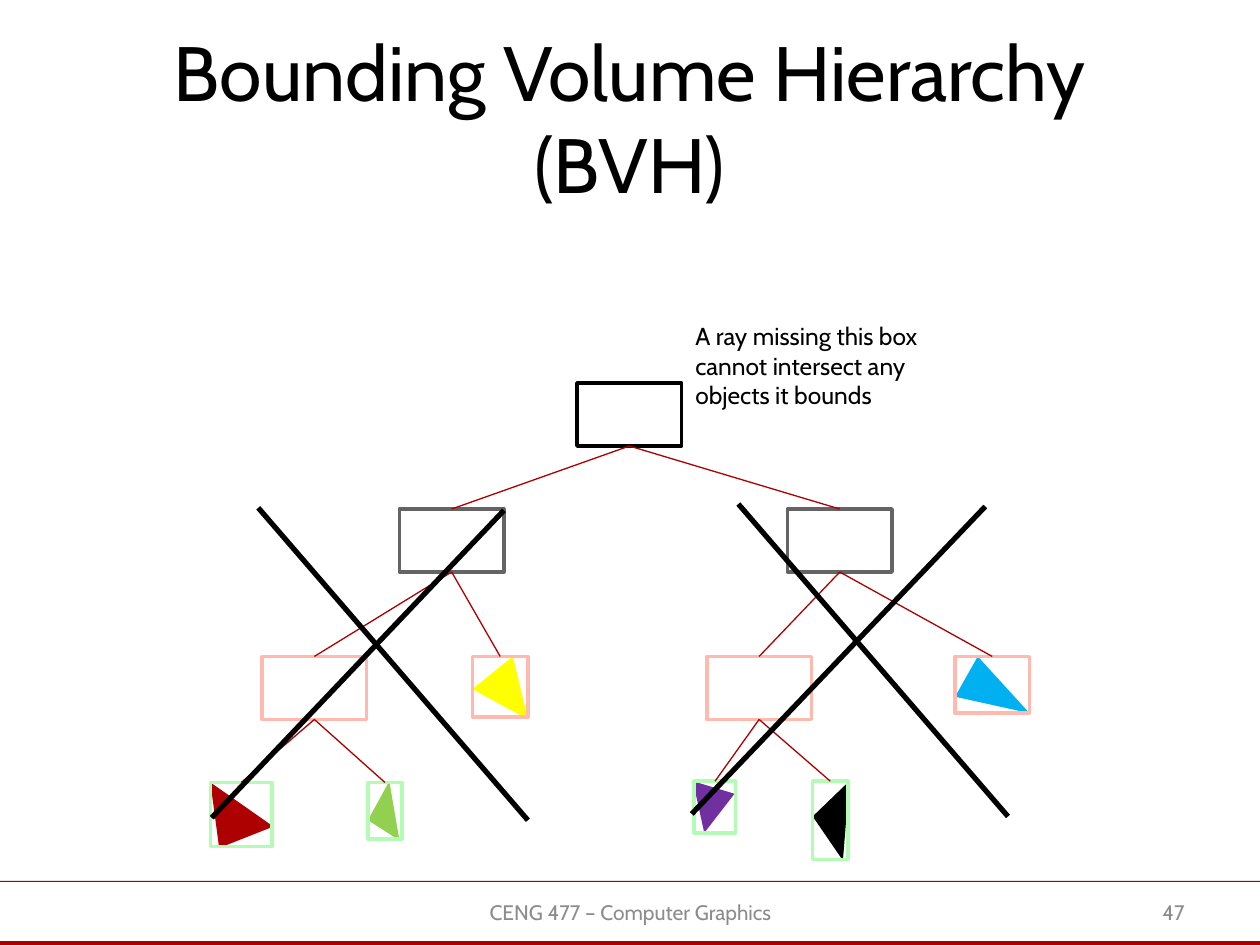
"""Build the slide on pruning a bounding volume hierarchy."""
from lxml.etree import SubElement
from pptx import Presentation
from pptx.dml.color import RGBColor
from pptx.enum.shapes import MSO_CONNECTOR, MSO_SHAPE
from pptx.enum.text import MSO_ANCHOR, PP_ALIGN
from pptx.oxml.ns import qn
from pptx.util import Inches, Pt

FONT = "Cabin"
BLACK = RGBColor(0x00, 0x00, 0x00)
GRAY = RGBColor(0x64, 0x64, 0x64)
FOOTER_GRAY = RGBColor(0x8C, 0x8C, 0x8C)
PINK = RGBColor(0xFF, 0xBA, 0xB0)
MINT = RGBColor(0xB4, 0xFC, 0xB6)
RED = RGBColor(0xAD, 0x01, 0x01)
EDGE_RED = RGBColor(0xAA, 0x00, 0x00)
YELLOW = RGBColor(0xFF, 0xFF, 0x00)
GREEN = RGBColor(0x92, 0xD0, 0x50)
PURPLE = RGBColor(0x70, 0x30, 0xA0)
BLUE = RGBColor(0x00, 0xB0, 0xF0)

TITLE = "Bounding Volume Hierarchy (BVH)"
NOTE = ["A ray missing this box", "cannot intersect any", "objects it bounds"]
FOOTER = "CENG 477 – Computer Graphics"
PAGE_NUMBER = "47"

RULES = [(6.99, 0.01), (7.47, 0.03)]
NODE_SIZE = (0.83, 0.5)
NODES = {
    "root": (4.58, 3.04, *NODE_SIZE, BLACK),
    "left": (3.17, 4.04, *NODE_SIZE, GRAY),
    "right": (6.25, 4.04, *NODE_SIZE, GRAY),
    "left inner": (2.08, 5.21, *NODE_SIZE, PINK),
    "right inner": (5.61, 5.21, *NODE_SIZE, PINK),
    "yellow": (3.75, 5.21, 0.44, 0.48, PINK),
    "blue": (7.58, 5.21, 0.59, 0.45, PINK),
    "red": (1.67, 6.21, 0.49, 0.51, MINT),
    "green": (2.92, 6.21, 0.27, 0.45, MINT),
    "purple": (5.51, 6.2, 0.33, 0.41, MINT),
    "black": (6.45, 6.2, 0.28, 0.62, MINT),
}
CHILDREN = {
    "root": ["left", "right"],
    "left": ["left inner", "yellow"],
    "right": ["right inner", "blue"],
    "left inner": ["red", "green"],
    "right inner": ["purple", "black"],
}
TRIANGLES = [
    (YELLOW, [(4.07, 5.21), (3.75, 5.47), (4.19, 5.71)]),
    (RED, [(1.74, 6.73), (1.67, 6.21), (2.17, 6.56)]),
    (GREEN, [(3.09, 6.2), (2.92, 6.51), (3.17, 6.67)]),
    (PURPLE, [(5.5, 6.2), (5.59, 6.61), (5.83, 6.3)]),
    (BLACK, [(6.74, 6.2), (6.45, 6.48), (6.69, 6.83)]),
    (BLUE, [(7.76, 5.21), (7.58, 5.53), (8.17, 5.66)]),
]
CROSS_STROKES = [
    ((2.05, 4.03), (4.19, 6.51)),
    ((4, 4.05), (1.68, 6.49)),
    ((5.86, 4), (8, 6.48)),
    ((7.82, 4.02), (5.49, 6.46)),
]


def write(box, lines, size, color, align, anchor, wrap=True):
    frame = box.text_frame
    frame.word_wrap = wrap
    frame.vertical_anchor = anchor
    for index, line in enumerate(lines):
        para = frame.add_paragraph() if index else frame.paragraphs[0]
        para.alignment = align
        span = para.add_run()
        span.text = line
        span.font.name = FONT
        span.font.size = Pt(size)
        span.font.color.rgb = color


def add_text(page, bounds, *style):
    write(page.shapes.add_textbox(*map(Inches, bounds)), *style)


def add_rectangle(page, bounds, fill=None, line=None):
    shape = page.shapes.add_shape(MSO_SHAPE.RECTANGLE, *map(Inches, bounds))
    paint(shape, fill, line)


def paint(shape, fill, line=None):
    shape.shadow.inherit = False
    if fill is None:
        shape.fill.background()
    else:
        shape.fill.solid()
        shape.fill.fore_color.rgb = fill
    if line is None:
        shape.line.fill.background()
    else:
        shape.line.color.rgb = line
        shape.line.width = Pt(2)


def add_line(page, start, end, color, width):
    line = page.shapes.add_connector(
        MSO_CONNECTOR.STRAIGHT, *map(Inches, (*start, *end)))
    line.line.color.rgb = color
    line.line.width = Pt(width)
    SubElement(line._element.spPr, qn("a:effectLst"))


def add_triangle(page, color, points):
    first, *rest = [(Inches(x), Inches(y)) for x, y in points]
    builder = page.shapes.build_freeform(*first)
    builder.add_line_segments(rest, close=True)
    paint(builder.convert_to_shape(), color)


def add_tree(page):
    for color, points in TRIANGLES:
        add_triangle(page, color, points)
    for *bounds, color in NODES.values():
        add_rectangle(page, bounds, line=color)
    for parent, children in CHILDREN.items():
        left, top, width, height, _ = NODES[parent]
        start = (left + width / 2, top + height)
        for child in children:
            left_edge, top_edge, child_width, *_ = NODES[child]
            end = (left_edge + child_width / 2, top_edge)
            add_line(page, start, end, EDGE_RED, 0.75)


def main():
    deck = Presentation()
    deck.slide_width, deck.slide_height = Inches(10), Inches(7.5)
    page = deck.slides.add_slide(deck.slide_layouts[5])

    for top, height in RULES:
        add_rectangle(page, (0, top, 10, height), fill=RED)

    title = page.shapes.title
    title.left, title.top = Inches(0.5), Inches(0.3)
    title.width, title.height = Inches(9), Inches(1.25)
    write(title, [TITLE], 44, BLACK, PP_ALIGN.CENTER, MSO_ANCHOR.MIDDLE)

    add_text(page, (3.42, 7.04, 3.17, 0.4), [FOOTER], 12, FOOTER_GRAY,
             PP_ALIGN.CENTER, MSO_ANCHOR.MIDDLE)
    add_text(page, (7.17, 7.04, 2.33, 0.4), [PAGE_NUMBER], 12, FOOTER_GRAY,
             PP_ALIGN.RIGHT, MSO_ANCHOR.MIDDLE)

    add_tree(page)
    add_text(page, (5.42, 2.5, 2.1, 0.81), NOTE, 14, BLACK,
             PP_ALIGN.LEFT, MSO_ANCHOR.TOP, False)
    for start, end in CROSS_STROKES:
        add_line(page, start, end, BLACK, 3)

    deck.save("out.pptx")


if __name__ == "__main__":
    main()
